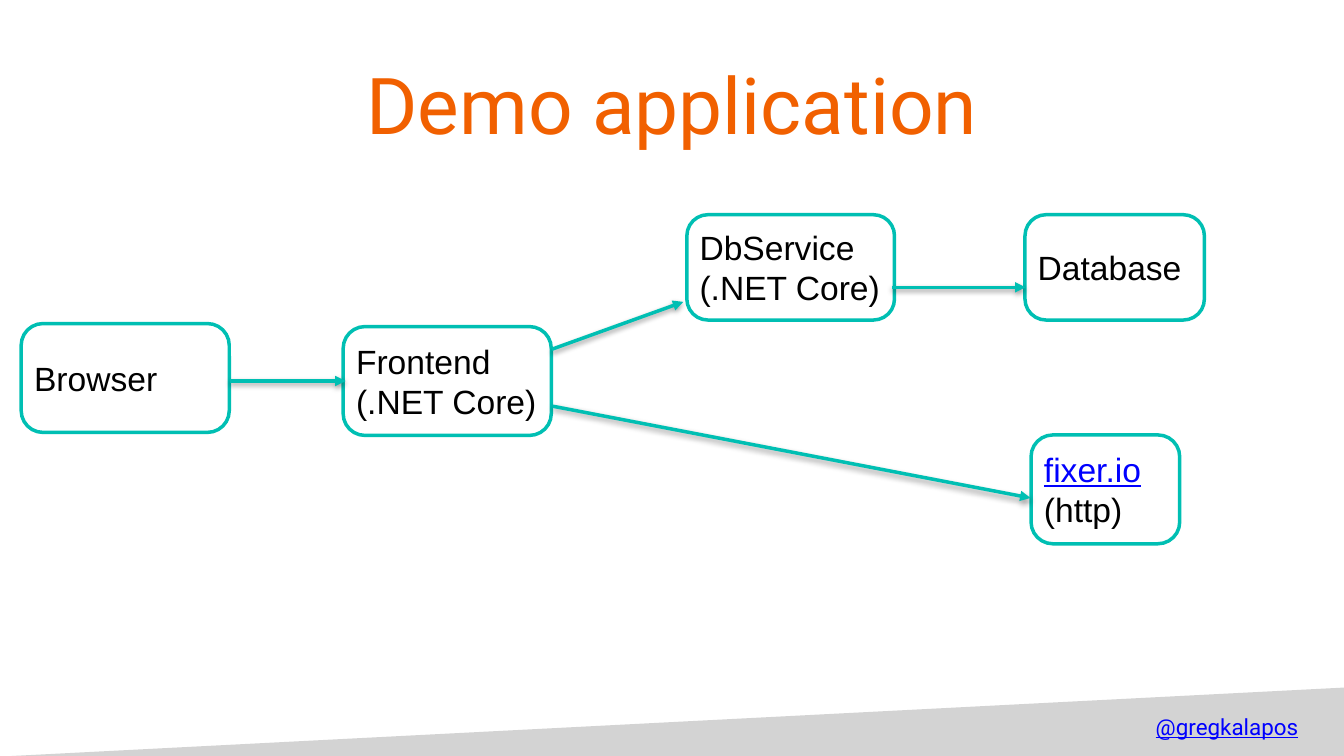
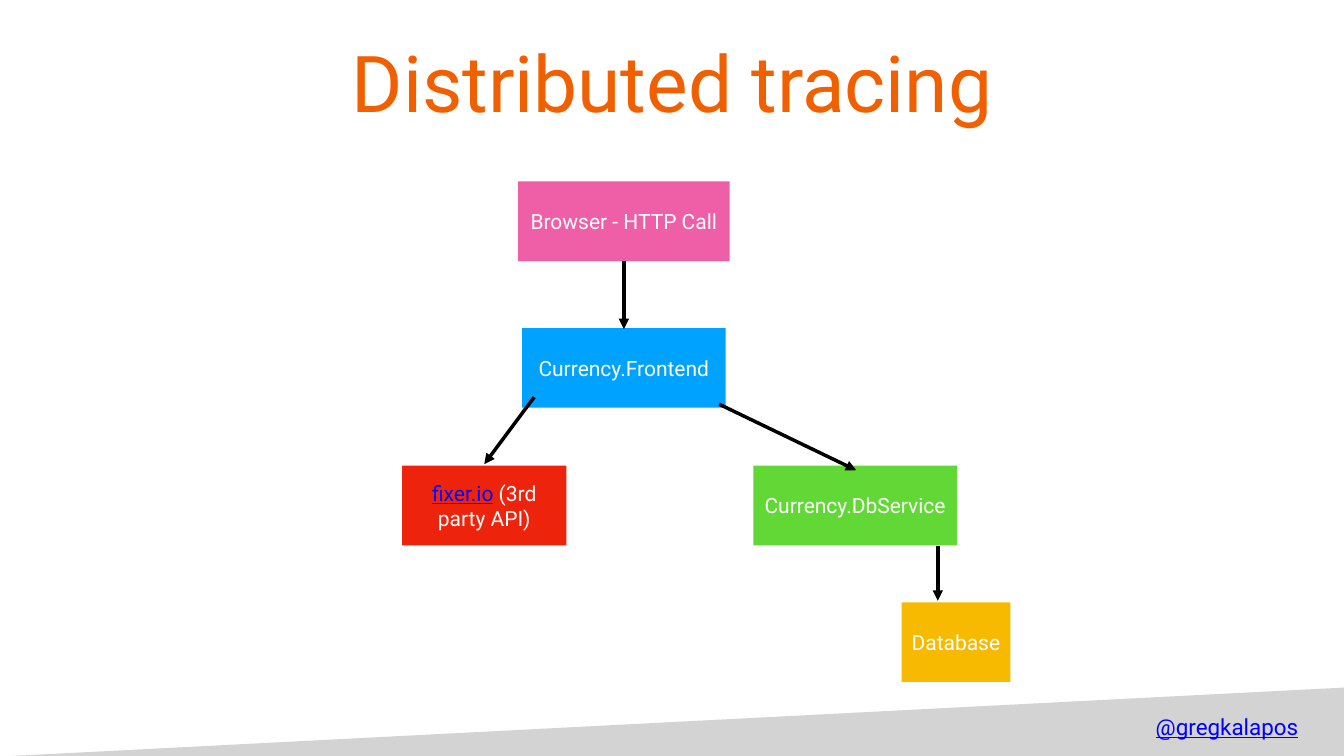
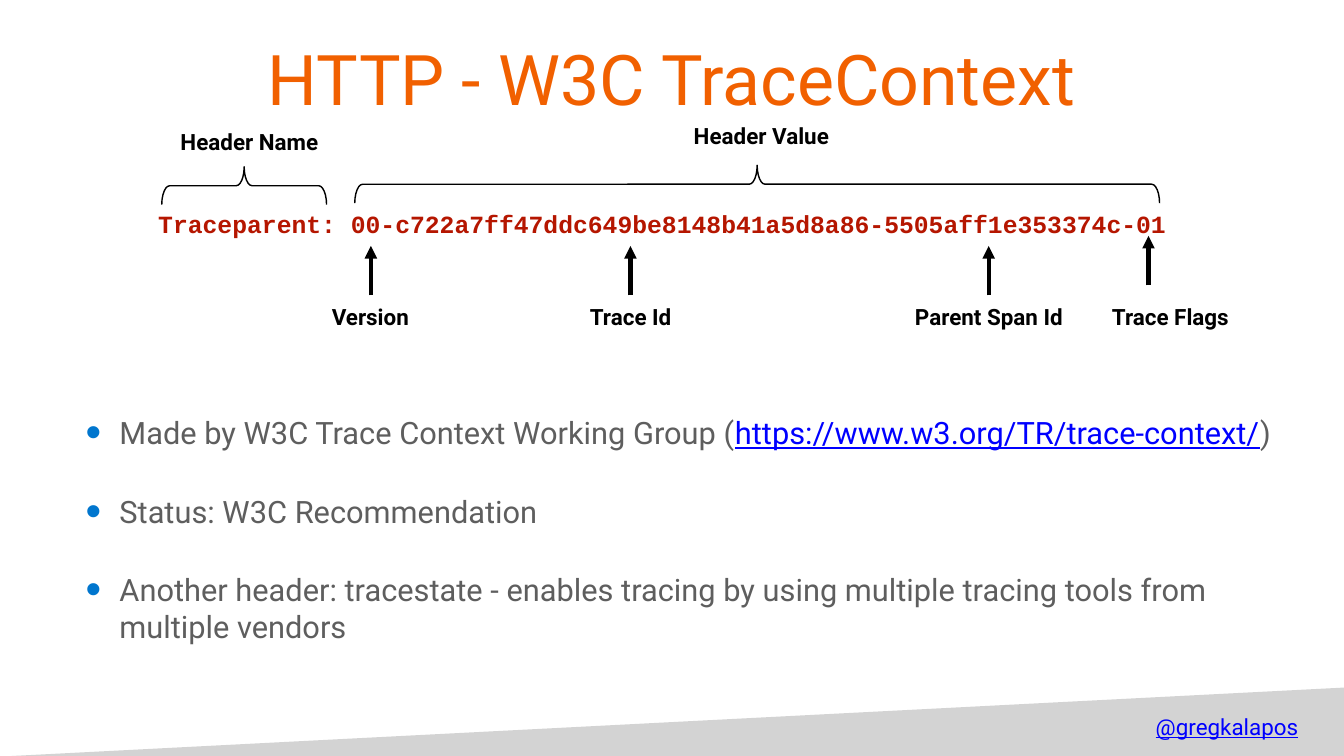
from pptx import Presentation
from pptx.dml.color import RGBColor as RGB
from pptx.enum.shapes import MSO_CONNECTOR as LINK, MSO_SHAPE as SHAPE
from pptx.enum.text import MSO_ANCHOR as ANCHOR, MSO_AUTO_SIZE as FIT, PP_ALIGN as ALIGN
from pptx.oxml.ns import qn
from pptx.util import Emu, Pt
from lxml.etree import SubElement as sub

PX = 9144  # 100 px to the inch
WIDE, HIGH = 2667, 1500
PAD = 8

WHITE = RGB(0xFF, 0xFF, 0xFF)
BLACK = RGB(0x00, 0x00, 0x00)
ORANGE = RGB(0xF1, 0x60, 0x00)
TEAL = RGB(0x00, 0xBF, 0xB3)
GREY = RGB(0x5E, 0x5E, 0x5E)
LINKED = RGB(0x00, 0x00, 0xFF)
BULLET = RGB(0x00, 0x76, 0xCE)
CODE = RGB(0xB5, 0x16, 0x00)
SKY = RGB(0x00, 0xA2, 0xFF)
GREEN = RGB(0x61, 0xD8, 0x36)
PINK = RGB(0xEF, 0x5F, 0xA7)
GOLD = RGB(0xF7, 0xBA, 0x01)
RED = RGB(0xEE, 0x23, 0x0C)

HANDLE = "@gregkalapos"


def px(*nums):
    return [Emu(n * PX) for n in nums]


class Deck:
    font = "Roboto"

    def __init__(self):
        self.prs = Presentation()
        self.prs.slide_width, self.prs.slide_height = px(WIDE, HIGH)

    def slide(self, title, high, size=112, layout=5):
        self.page = self.prs.slides.add_slide(self.prs.slide_layouts[layout])
        self.shapes = self.page.shapes
        self.band()
        self.label(HANDLE, 2285, 1404, 300, 75, color=LINKED, bold=False, under=True)
        head = self.shapes.title
        self.place(head, 480, 39, 1707, high)
        self.text(head.text_frame, title, size, ORANGE)

    def band(self):
        pen = self.shapes.build_freeform(2671, 1364, scale=PX)
        pen.add_line_segments([(2671, 1503), (-36, 1503)])
        band = pen.convert_to_shape()
        band.shadow.inherit = False
        band.fill.solid()
        band.fill.fore_color.rgb = GREY
        band.line.fill.background()
        tint = band._element.spPr.find(qn("a:solidFill"))[0]
        sub(tint, qn("a:alpha"), val="27000")

    def place(self, shape, *box):
        shape.left, shape.top, shape.width, shape.height = px(*box)

    def frame(self, frame, pad=PAD, wrap=True):
        frame.word_wrap = wrap
        frame.auto_size = FIT.NONE if wrap else FIT.SHAPE_TO_FIT_TEXT
        frame.vertical_anchor = ANCHOR.MIDDLE
        frame.margin_left = frame.margin_right = Emu(pad * PX)
        frame.margin_top = frame.margin_bottom = Emu(pad * PX)

    def fill(self, para, text, size, color, font=None, bold=False, under=False):
        """Put text into a paragraph; parts between bars look like links."""
        para.font.name = font or self.font
        para.font.size = Pt(size)
        para.font.color.rgb = color
        para.font.bold = bold
        para.font.underline = under
        for i, part in enumerate(text.split("|")):
            if part:
                run = para.add_run()
                run.text = part
                if i % 2:
                    run.font.color.rgb = LINKED
                    run.font.underline = True

    def text(self, frame, text, size, color, align=ALIGN.CENTER,
             pad=PAD, wrap=True, **style):
        self.frame(frame, pad, wrap)
        para = frame.paragraphs[0]
        para.alignment = align
        self.fill(para, text, size, color, **style)

    def label(self, text, x, y, w, h, size=32, color=BLACK, bold=True, **style):
        box = self.shapes.add_textbox(*px(x, y, w, h))
        self.text(box.text_frame, text, size, color, wrap=False, bold=bold, **style)

    def shape(self, kind, *box):
        shape = self.shapes.add_shape(kind, *px(*box))
        shape.shadow.inherit = False
        return shape

    def node(self, text, *box):
        """Rounded outlined box of the application diagram."""
        node = self.shape(SHAPE.ROUNDED_RECTANGLE, *box)
        node.adjustments[0] = 0.2
        node.fill.solid()
        node.fill.fore_color.rgb = WHITE
        node.line.color.rgb = TEAL
        node.line.width = Pt(5)
        self.text(node.text_frame, text, 48, BLACK, ALIGN.LEFT, 13, font="Arial")

    def span(self, text, color, x, y, w):
        """Filled box of the trace tree."""
        span = self.shape(SHAPE.RECTANGLE, x, y, w, 158)
        span.fill.solid()
        span.fill.fore_color.rgb = color
        span.line.fill.background()
        self.text(span.text_frame, text, 30, WHITE)

    def arrow(self, *ends, color=BLACK, width=5, shade=False):
        arrow = self.shapes.add_connector(LINK.STRAIGHT, *px(*ends))
        arrow.line.color.rgb = color
        arrow.line.width = Pt(width)
        props = arrow._element.spPr
        sub(props.find(qn("a:ln")), qn("a:tailEnd"), type="triangle")
        effect = sub(props, qn("a:effectLst"))
        if shade:
            cast = sub(effect, qn("a:outerShdw"), blurRad=str(Pt(8)), dist=str(Pt(4)),
                       dir="5400000", rotWithShape="0")
            tint = sub(cast, qn("a:srgbClr"), val=str(BLACK))
            sub(tint, qn("a:alpha"), val="38000")

    def brace(self, x, y, w, h=75):
        """Brace lying over the text, given by the box it covers once turned."""
        turn = (w - h) // 2
        brace = self.shape(SHAPE.LEFT_BRACE, x + turn, y - turn, h, w)
        brace.rotation = 90
        brace.adjustments[0] = 0.21
        brace.fill.background()
        brace.line.color.rgb = BLACK
        brace.line.width = Pt(2)

    def bullets(self, items, *box):
        body = self.page.placeholders[1]
        self.place(body, *box)
        frame = body.text_frame
        self.frame(frame)
        for i, item in enumerate(items):
            para = frame.add_paragraph() if i else frame.paragraphs[0]
            props = para._p.get_or_add_pPr()
            props.set("marL", str(67 * PX))
            props.set("indent", str(-67 * PX))
            sub(sub(props, qn("a:buClr")), qn("a:srgbClr"), val=str(BULLET))
            sub(props, qn("a:buSzPct"), val="145000")
            sub(props, qn("a:buChar"), char="•")
            para.space_before = Pt(59 if i else 0)
            self.fill(para, item, 44, GREY)


def demo(deck):
    deck.slide("Demo application", 332)
    for node in (
        ("Browser", 42, 642, 413, 216),
        ("Frontend (.NET Core)", 681, 648, 413, 216),
        ("|fixer.io| (http)", 2046, 863, 295, 216),
        ("Database", 2034, 426, 356, 209),
        ("DbService (.NET Core)", 1363, 426, 412, 209),
    ):
        deck.node(*node)
    for ends in (
        (457, 756, 686, 756),
        (1097, 806, 2045, 988),
        (1095, 693, 1356, 599),
        (1770, 570, 2035, 570),
    ):
        deck.arrow(*ends, color=TEAL, shade=True)


def tracing(deck):
    deck.slide("Distributed tracing", 243)
    for span in (
        ("Currency.Frontend", SKY, 1036, 651, 404),
        ("Currency.DbService", GREEN, 1495, 924, 404),
        ("Browser - HTTP Call", PINK, 1028, 360, 420),
        ("Database", GOLD, 1789, 1195, 216),
        ("|fixer.io| (3rd party API)", RED, 798, 924, 326),
    ):
        deck.span(*span)
    for ends in (
        (1238, 518, 1238, 653),
        (1861, 1084, 1861, 1192),
        (1427, 802, 1699, 933),
        (1060, 788, 961, 921),
    ):
        deck.arrow(*ends)


def context(deck):
    deck.slide("HTTP - W3C TraceContext", 228, size=99.8, layout=1)
    deck.label("Traceparent: 00-c722a7ff47ddc649be8148b41a5d8a86-5505aff1e353374c-01",
               306, 406, 2018, 75, size=35.3, color=CODE, font="Courier New",
               align=ALIGN.LEFT)
    deck.bullets((
        "Made by W3C Trace Context Working Group (|https://www.w3.org/TR/trace-context/|)",
        "Status: W3C Recommendation",
        "Another header: tracestate - enables tracing by using multiple tracing tools"
        " from multiple vendors",
    ), 162, 681, 2390, 738)
    for text, x, w, tip, top in (
        ("Version", 648, 174, 736, 488),
        ("Trace Id", 1158, 187, 1251, 488),
        ("Parent Span Id", 1798, 329, 1962, 488),
        ("Trace Flags", 2192, 261, 2279, 468),
    ):
        deck.label(text, x, 594, w, 69)
        deck.arrow(tip, top + 98, tip, top, width=6)
    deck.label("Header Name", 341, 247, 308, 69)
    deck.brace(321, 331, 327)
    deck.label("Header Value", 1361, 233, 300, 70)
    deck.brace(704, 328, 1597)


def main():
    deck = Deck()
    for build in (demo, tracing, context):
        build(deck)
    deck.prs.save("out.pptx")


if __name__ == "__main__":
    main()
